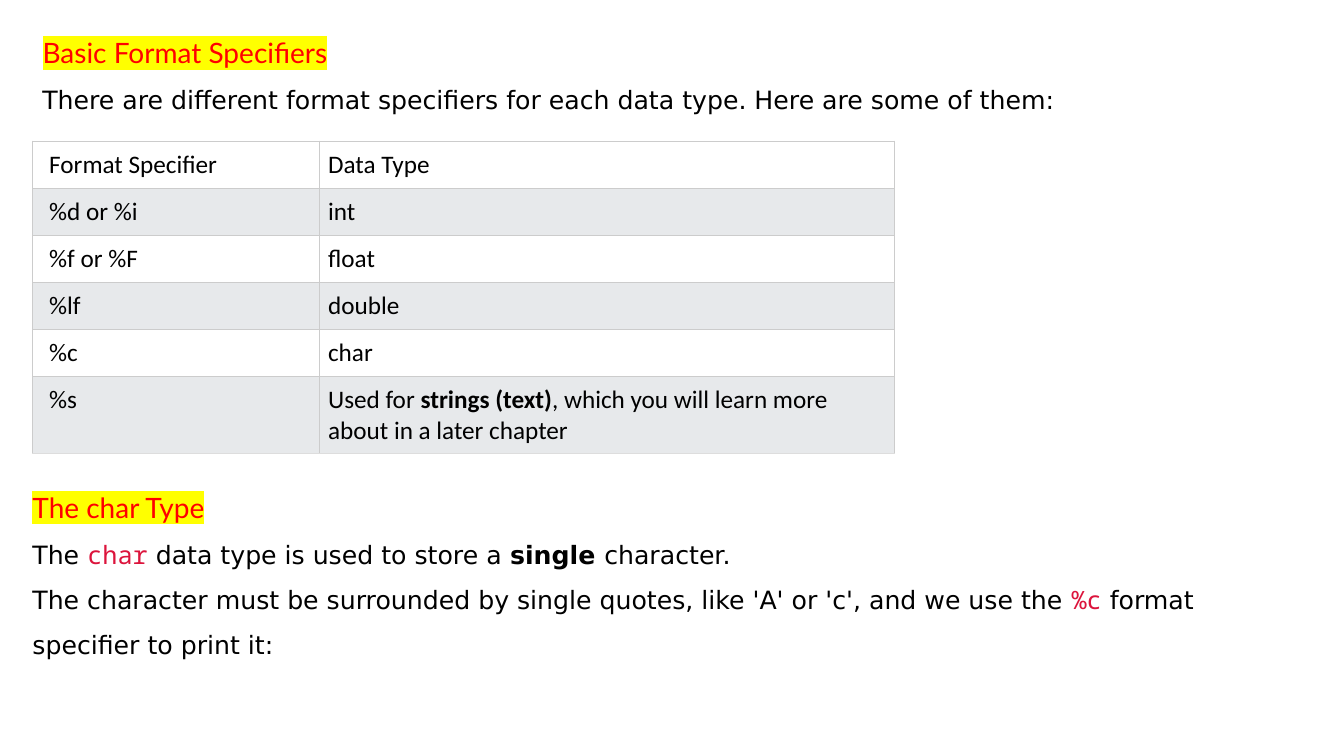
from lxml import etree
from pptx import Presentation
from pptx.dml.color import RGBColor
from pptx.enum import shapes, text
from pptx.oxml import ns
from pptx.util import Pt

COLORS = {
    "ink": "000000",
    "heading": "FF0000",
    "marker": "FFFF00",
    "code": "DC143C",
    "white": "FFFFFF",
    "band": "E7E9EB",
    "grid": "CCCCCC",
    "table_end": "DDDDDD",
}
STYLES = {
    "heading": ("Lato", 20, "heading", False),
    "prose": ("DejaVu Sans", 18, "ink", False),
    "strong": ("DejaVu Sans", 18, "ink", True),
    "code": ("Noto Sans Mono", 18, "code", False),
    "cell": ("Calibri", 18, "ink", False),
    "cell_strong": ("Calibri", 18, "ink", True),
}
SPECIFIERS = [
    ("Format Specifier", "Data Type"),
    ("%d or %i", "int"),
    ("%f or %F", "float"),
    ("%lf", "double"),
    ("%c", "char"),
    ("%s", [("Used for ", "cell"), ("strings (text)", "cell_strong"),
            (", which you will learn more about in a later chapter", "cell")]),
]
CHAR_NOTES = [
    [("The char Type", "heading")],
    [("The ", "prose"), ("char", "code"),
     (" data type is used to store a ", "prose"),
     ("single ", "strong"), ("character.", "prose")],
    [("The character must be surrounded by single quotes, like 'A' or 'c', "
      "and we use the ", "prose"), ("%c", "code"),
     (" format specifier to print it:", "prose")],
]


def rgb(name):
    """Return the palette colour called name."""
    return RGBColor.from_string(COLORS[name])


def add_color(parent, name):
    """Append a palette colour element to an XML parent."""
    etree.SubElement(parent, ns.qn("a:srgbClr"), val=COLORS[name])


def write_paragraph(paragraph, pieces, spacing=None):
    """Fill a paragraph with (words, style) pieces."""
    paragraph.alignment = text.PP_ALIGN.LEFT
    paragraph.line_spacing = spacing
    for words, style in pieces:
        run = paragraph.add_run()
        run.text = words
        face, size, color, bold = STYLES[style]
        run.font.size, run.font.bold = Pt(size), bold
        run.font.color.rgb = rgb(color)
        run.font.name = face
        if style == "heading":
            marker = etree.Element(ns.qn("a:highlight"))
            add_color(marker, "marker")
            run.font.fill._xPr.find(ns.qn("a:solidFill")).addnext(marker)


def write_frame(frame, paragraphs, margins, anchor):
    """Set up a wrapping text frame and write its paragraphs."""
    frame.word_wrap = True
    frame.vertical_anchor = anchor
    (frame.margin_left, frame.margin_top,
     frame.margin_right, frame.margin_bottom) = map(Pt, margins)
    for index, pieces in enumerate(paragraphs):
        paragraph = frame.add_paragraph() if index else frame.paragraphs[0]
        write_paragraph(paragraph, pieces, 1.5)


def add_intro(slide, left, top, width, height):
    """Place the slide title and the sentence under it."""
    title_height = 39.6
    title = slide.shapes.title
    title.left, title.top = Pt(left), Pt(top)
    title.width, title.height = Pt(width), Pt(title_height)
    write_frame(title.text_frame, [[("Basic Format Specifiers", "heading")]],
                (7.2, 3.6, 7.2, 0), text.MSO_ANCHOR.TOP)
    title.text_frame.auto_size = text.MSO_AUTO_SIZE.NONE
    lead = slide.shapes.add_textbox(Pt(left), Pt(top + title_height),
                                    Pt(width), Pt(height - title_height))
    sentence = ("There are different format specifiers for each data type. "
                "Here are some of them:")
    write_frame(lead.text_frame, [[(sentence, "prose")]],
                (7.2, 0, 7.2, 0), text.MSO_ANCHOR.TOP)


def set_borders(cell, bottom):
    """Draw thin borders round a table cell."""
    properties = cell._tc.get_or_add_tcPr()
    edges = [("L", "grid"), ("R", "grid"), ("T", "grid"), ("B", bottom)]
    for index, (edge, color) in enumerate(edges):
        line = etree.Element(ns.qn(f"a:ln{edge}"), w=str(Pt(0.75)))
        add_color(etree.SubElement(line, ns.qn("a:solidFill")), color)
        properties.insert(index, line)


def add_specifier_table(slide, left, top, width, height):
    """Place the banded table of format specifiers."""
    row_height = 33.6
    last = len(SPECIFIERS) - 1
    table = slide.shapes.add_table(len(SPECIFIERS), 2, Pt(left), Pt(top),
                                   Pt(width), Pt(height)).table
    table.first_row = table.horz_banding = False
    for column, share in zip(table.columns, (1 / 3, 2 / 3)):
        column.width = Pt(width * share)
    for row, entries in enumerate(SPECIFIERS):
        table.rows[row].height = Pt(
            height - last * row_height if row == last else row_height)
        for column, entry in enumerate(entries):
            cell = table.cell(row, column)
            cell.margin_left = Pt(6 if column else 12)
            cell.margin_top = cell.margin_right = cell.margin_bottom = Pt(6)
            cell.fill.solid()
            cell.fill.fore_color.rgb = rgb("band" if row % 2 else "white")
            set_borders(cell, "table_end" if row == last else "grid")
            pieces = [(entry, "cell")] if isinstance(entry, str) else entry
            write_paragraph(cell.text_frame.paragraphs[0], pieces)


def add_char_section(slide, left, top, width, height):
    """Place the section on the char type."""
    section = slide.shapes.add_shape(shapes.MSO_SHAPE.RECTANGLE, Pt(left),
                                     Pt(top), Pt(width), Pt(height))
    section.shadow.inherit = False
    section.fill.solid()
    section.fill.fore_color.rgb = rgb("white")
    section.line.fill.background()
    write_frame(section.text_frame, CHAR_NOTES, (0, 6, 0, 6),
                text.MSO_ANCHOR.MIDDLE)
    section.text_frame.auto_size = text.MSO_AUTO_SIZE.SHAPE_TO_FIT_TEXT


def main():
    """Build and save the slide."""
    deck = Presentation()
    deck.slide_width, deck.slide_height = Pt(960), Pt(540)
    slide = deck.slides.add_slide(deck.slide_layouts.get_by_name("Title Only"))
    left = 23.2
    add_intro(slide, left, 10, 904.3, 72)
    add_specifier_table(slide, left, 100.8, 615.6, 223.2)
    add_char_section(slide, left, 333.4, 897.8, 142.6)
    deck.save("out.pptx")


if __name__ == "__main__":
    main()
